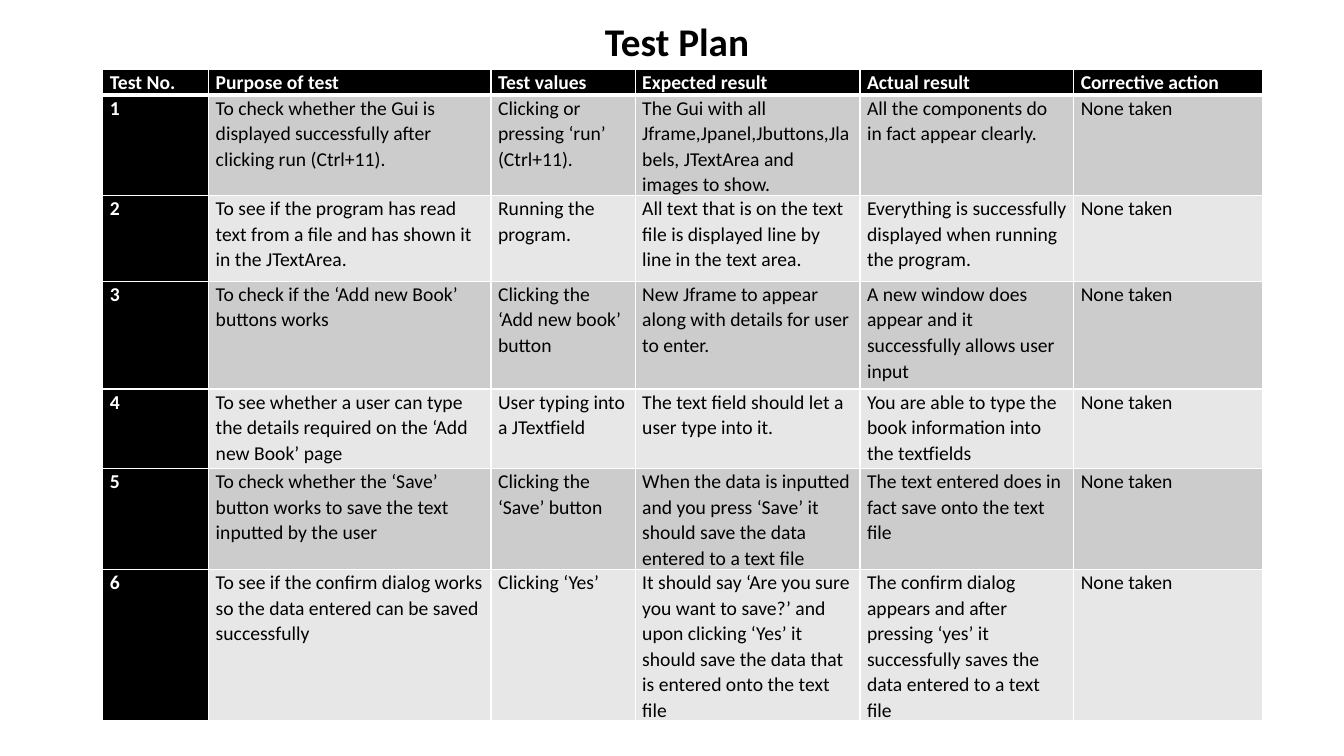
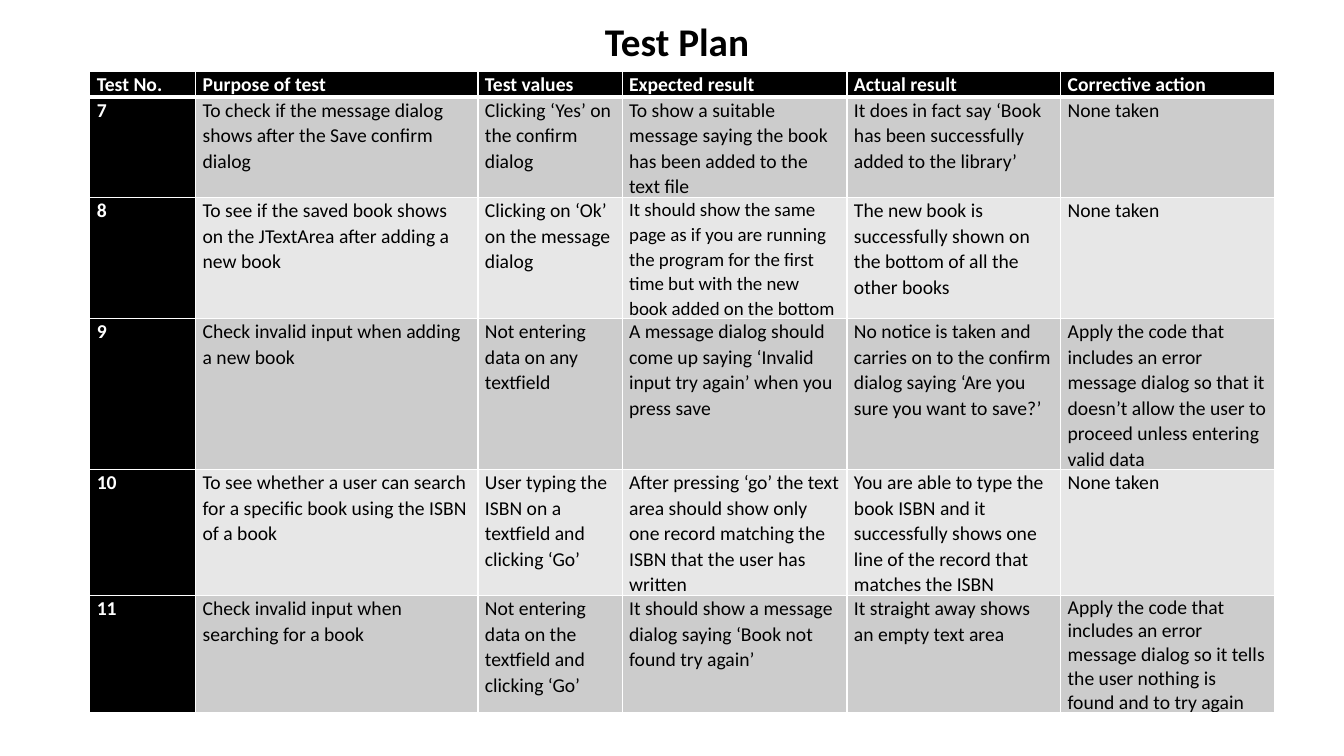
import pptx
import pptx.util
import pptx.dml.color
import pptx.enum.text
import pptx.oxml
import pptx.oxml.ns

Inches, Pt = pptx.util.Inches, pptx.util.Pt
BLACK, WHITE = "000000", "FFFFFF"
BANDS = ("CCCCCC", "E7E7E7")
FONT = "Calibri"
BODY_SIZE = 14
TITLE_BOX = (5.9, 0.12, 1.74, 0.57)
HEADERS = ("Test No.", "Purpose of test", "Test values",
           "Expected result", "Actual result", "Corrective action")
SHARED_WIDTHS = (1.05, 2.8, 1.43, 2.23, 2.12)
ROW_HEIGHTS = (0.23, 0.64, 0.85, 1.07, 0.79, 0.79, 0.79)
NONE_TAKEN = "None taken"

FIRST_TESTS = (
    ("1", "To check whether the Gui is displayed successfully after clicking run (Ctrl+11).",
     "Clicking or pressing ‘run’ (Ctrl+11).",
     "The Gui with all Jframe,Jpanel,Jbuttons,Jlabels, JTextArea and images to show.",
     "All the components do in fact appear clearly. ", NONE_TAKEN),
    ("2", "To see if the program has read text from a file and has shown it in the JTextArea.",
     "Running the program.",
     "All text that is on the text file is displayed line by line in the text area.",
     "Everything is successfully displayed when running the program.", NONE_TAKEN),
    ("3", "To check if the ‘Add new Book’ buttons works",
     "Clicking the ‘Add new book’ button",
     "New Jframe to appear along with details for user to enter.",
     "A new window does appear and it successfully allows user input", NONE_TAKEN),
    ("4", "To see whether a user can type the details required on the ‘Add new Book’ page",
     "User typing into a JTextfield",
     "The text field should let a user type into it.",
     "You are able to type the book information into the textfields", NONE_TAKEN),
    ("5", "To check whether the ‘Save’ button works to save the text inputted by the user",
     "Clicking the ‘Save’ button",
     "When the data is inputted and you press ‘Save’ it should save the data entered to a text file",
     "The text entered does in fact save onto the text file", NONE_TAKEN),
    ("6", "To see if the confirm dialog works so the data entered can be saved successfully",
     "Clicking ‘Yes’",
     "It should say ‘Are you sure you want to save?’ and upon clicking ‘Yes’ it should save "
     "the data that is entered onto the text file",
     "The confirm dialog appears and after pressing ‘yes’ it successfully saves the data "
     "entered to a text file", NONE_TAKEN),
)

LATER_TESTS = (
    ("7", "To check if the message dialog shows after the Save confirm dialog",
     "Clicking ‘Yes’ on the confirm dialog",
     "To show a suitable message saying the book has been added to the text file",
     "It does in fact say ‘Book has been successfully added to the library’", NONE_TAKEN),
    ("8", "To see if the saved book shows on the JTextArea after adding a new book",
     "Clicking on ‘Ok’ on the message dialog",
     "It should show the same page as if you are running the program for the first time "
     "but with the new book added on the bottom",
     "The new book is successfully shown on the bottom of all the other books", NONE_TAKEN),
    ("9", "Check invalid input when adding a new book",
     "Not entering data on any textfield",
     "A message dialog should come up saying ‘Invalid input try again’ when you press save",
     "No notice is taken and carries on to the confirm dialog saying ‘Are you sure you want to save?’",
     "Apply the code that includes an error message dialog so that it doesn’t allow the user "
     "to proceed unless entering valid data"),
    ("10", "To see whether a user can search for a specific book using the ISBN of a book",
     "User typing the ISBN on a textfield and clicking ‘Go’",
     "After pressing ‘go’ the text area should show only one record matching the ISBN "
     "that the user has written",
     "You are able to type the book ISBN and it successfully shows one line of the record "
     "that matches the ISBN", NONE_TAKEN),
    ("11", "Check invalid input when searching for a book",
     "Not entering data on the textfield and clicking ‘Go’",
     "It should show a message dialog saying ‘Book not found try again’",
     "It straight away shows an empty text area",
     "Apply the code that includes an error message dialog so it tells the user nothing is "
     "found and to try again"),
)


def rgb(color):
    return pptx.dml.color.RGBColor.from_string(color)


def add_run(p, text, size, color, bold):
    r = p.add_run()
    r.text = text
    r.font.name = FONT
    r.font.size = Pt(size)
    r.font.bold = bold
    r.font.color.rgb = rgb(color)


def set_borders(cell, top, bottom):
    tc_pr = cell._tc.get_or_add_tcPr()
    for side, width in (("L", 1), ("R", 1), ("T", top), ("B", bottom)):
        tc_pr.append(pptx.oxml.parse_xml(
            f'<a:ln{side} {pptx.oxml.ns.nsdecls("a")} w="{Pt(width)}">'
            f'<a:solidFill><a:srgbClr val="{WHITE}"/></a:solidFill></a:ln{side}>'))


def fill_cell(cell, text, row, col, size, spacing):
    dark = row == 0 or col == 0
    set_borders(cell, 3 if row == 1 else 1, 3 if row == 0 else 1)
    cell.fill.solid()
    cell.fill.fore_color.rgb = rgb(BLACK if dark else BANDS[(row - 1) % 2])
    cell.margin_left = cell.margin_right = Inches(0.07)
    cell.margin_top = cell.margin_bottom = 0
    p = cell.text_frame.paragraphs[0]
    p.line_spacing = spacing
    add_run(p, text, size, WHITE if dark else BLACK, dark)


def add_title(s, box):
    sp = s.shapes.title
    sp.left, sp.top, sp.width, sp.height = map(Inches, box)
    tf = sp.text_frame
    tf.word_wrap = False
    tf.auto_size = pptx.enum.text.MSO_AUTO_SIZE.SHAPE_TO_FIT_TEXT
    tf.vertical_anchor = pptx.enum.text.MSO_ANCHOR.TOP
    p = tf.paragraphs[0]
    p.alignment = pptx.enum.text.PP_ALIGN.LEFT
    add_run(p, "Test Plan ", 28, BLACK, True)


def add_test_table(s, box, tests, sizes, spacings):
    left, top, width, height = box
    rows = (HEADERS,) + tests
    table = s.shapes.add_table(len(rows), len(HEADERS), Inches(left), Inches(top),
                               Inches(width), Inches(height)).table
    table.first_row = table.horz_banding = False
    widths = SHARED_WIDTHS + (width - sum(SHARED_WIDTHS),)
    for column, column_width in zip(table.columns, widths):
        column.width = Inches(column_width)
    for i, texts in enumerate(rows):
        table.rows[i].height = Inches(ROW_HEIGHTS[i])
        for j, text in enumerate(texts):
            fill_cell(table.cell(i, j), text, i, j,
                      sizes.get((i, j), BODY_SIZE), spacings.get((i, j), 1.07))


def add_test_slide(prs, box, tests, sizes={}, spacings={}):
    s = prs.slides.add_slide(prs.slide_layouts[5])
    add_test_table(s, box, tests, sizes, spacings)
    add_title(s, TITLE_BOX)


prs = pptx.Presentation()
prs.slide_width, prs.slide_height = Inches(13.33), Inches(7.5)
add_test_slide(prs, (1.02, 0.69, 11.5, 6.61), FIRST_TESTS)
add_test_slide(prs, (0.89, 0.71, 11.75, 6.36), LATER_TESTS,
               sizes={(2, 3): 13.5}, spacings={(5, 5): 1.0})
prs.save("out.pptx")
